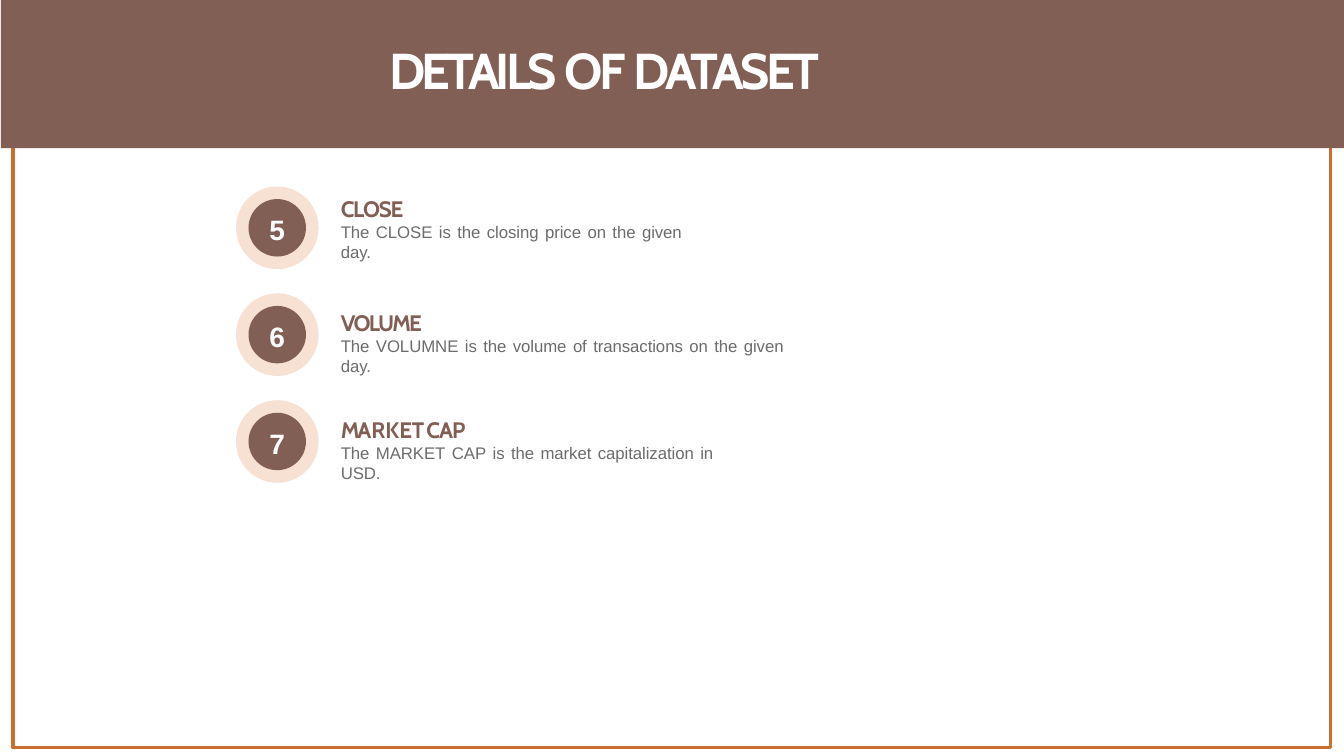
from pptx import Presentation
from pptx.dml.color import RGBColor
from pptx.enum.shapes import MSO_SHAPE
from pptx.enum.text import MSO_ANCHOR, PP_ALIGN
from pptx.util import Inches, Pt

RECTANGLE, OVAL = MSO_SHAPE.RECTANGLE, MSO_SHAPE.OVAL
TOP, MIDDLE = MSO_ANCHOR.TOP, MSO_ANCHOR.MIDDLE
LEFT, CENTER = PP_ALIGN.LEFT, PP_ALIGN.CENTER
TITLE_ONLY = 5

BROWN, PEACH, ORANGE, GREY, WHITE = "815F55", "F6E1D3", "CC6F2C", "6C6C6C", "FFFFFF"

# Number, heading as (text, tracking) runs, description, text top, text width
FIELDS = [
    ("5", [("CLOSE", -0.8)],
     "The CLOSE is the closing price on the given day.", 1.93, 3.59),
    ("6", [("VOLUME", -1.2)],
     "The VOLUMNE is the volume of transactions on the given day.", 3.06, 4.59),
    ("7", [("MA", -1.4), ("R", -1.1), ("K", -0.7), ("E", -0.8), ("T ", -2.1), ("CAP", -0.7)],
     "The MARKET CAP is the market capitalization in USD.", 4.12, 3.98),
]
BADGE_LEFT, BADGE_TOP, BADGE_PITCH = 2.34, 1.85, 1.06
BADGE_SIZE, DISC_SIZE = 0.82, 0.57
TEXT_LEFT, TEXT_HEIGHT = 3.38, 0.49


def color(hex_value):
    return RGBColor.from_string(hex_value)


def add_run(paragraph, text, font, size, hex_value, bold=True, tracking=0):
    run = paragraph.add_run()
    run.text = text
    run.font.name, run.font.size, run.font.bold = font, Pt(size), bold
    run.font.color.rgb = color(hex_value)
    if tracking:
        run._r.get_or_add_rPr().set("spc", str(round(tracking * 100)))


def set_frame(frame, anchor=TOP, top_margin=0.01):
    frame.word_wrap = True
    frame.vertical_anchor = anchor
    frame.margin_left = frame.margin_right = frame.margin_bottom = 0
    frame.margin_top = Inches(top_margin)


def add_block(slide, kind, left, top, width, height, fill=None, line=None):
    block = slide.shapes.add_shape(
        kind, Inches(left), Inches(top), Inches(width), Inches(height))
    block.shadow.inherit = False
    if fill:
        block.fill.solid()
        block.fill.fore_color.rgb = color(fill)
    else:
        block.fill.background()
    if line:
        block.line.color.rgb = color(line)
        block.line.width = Pt(2.28)
    else:
        block.line.fill.background()
    return block


def add_header(slide, left, top, width, height):
    add_block(slide, RECTANGLE, left, top, width, height, fill=BROWN)
    title = slide.shapes.title
    title.left, title.top = Inches(left + 3.85), Inches(top + 0.38)
    title.width, title.height = Inches(4.88), Inches(0.63)
    # Bring the title in front of the banner
    slide.shapes._spTree.append(title._element)
    set_frame(title.text_frame)
    paragraph = title.text_frame.paragraphs[0]
    paragraph.alignment = LEFT
    paragraph.space_before = Pt(1)
    for word, tracking in (("DETAILS ", -2.7), ("OF ", -2.6), ("DATASET", -2.5)):
        add_run(paragraph, word, "Cabin", 36, WHITE, tracking=tracking)


def add_badge(slide, number, left, top):
    add_block(slide, OVAL, left, top, BADGE_SIZE, BADGE_SIZE, fill=PEACH)
    inset = (BADGE_SIZE - DISC_SIZE) / 2
    disc = add_block(slide, OVAL, left + inset, top + inset, DISC_SIZE, DISC_SIZE, fill=BROWN)
    set_frame(disc.text_frame, MIDDLE, top_margin=0.03)
    paragraph = disc.text_frame.paragraphs[0]
    paragraph.alignment = CENTER
    add_run(paragraph, number, "Arial", 20, WHITE)


def add_description(slide, heading, description, left, top, width, height):
    frame = slide.shapes.add_textbox(
        Inches(left), Inches(top), Inches(width), Inches(height)).text_frame
    set_frame(frame)
    heading_line = frame.paragraphs[0]
    heading_line.line_spacing, heading_line.space_before = Pt(19.1), Pt(0.9)
    for text, tracking in heading:
        add_run(heading_line, text, "Cabin", 16, BROWN, tracking=tracking)
    body = frame.add_paragraph()
    body.line_spacing = Pt(14.3)
    # Words are set slightly tight, the gaps between them slightly wide
    for index, word in enumerate(description.split()):
        if index:
            add_run(body, " ", "Arial", 12, GREY, bold=False, tracking=1.2)
        add_run(body, word, "Arial", 12, GREY, bold=False, tracking=-0.05)


def main():
    deck = Presentation()
    deck.slide_width, deck.slide_height = Inches(13.33), Inches(7.5)
    slide = deck.slides.add_slide(deck.slide_layouts[TITLE_ONLY])

    # Page frame and header
    add_block(slide, RECTANGLE, 0.13, 0.09, 13.07, 7.33, line=ORANGE)
    add_header(slide, 0.01, 0, 13.32, 1.47)

    # Numbered dataset fields
    for row, (number, heading, description, text_top, text_width) in enumerate(FIELDS):
        add_badge(slide, number, BADGE_LEFT, BADGE_TOP + row * BADGE_PITCH)
        add_description(slide, heading, description,
                        TEXT_LEFT, text_top, text_width, TEXT_HEIGHT)

    deck.save("out.pptx")


if __name__ == "__main__":
    main()
